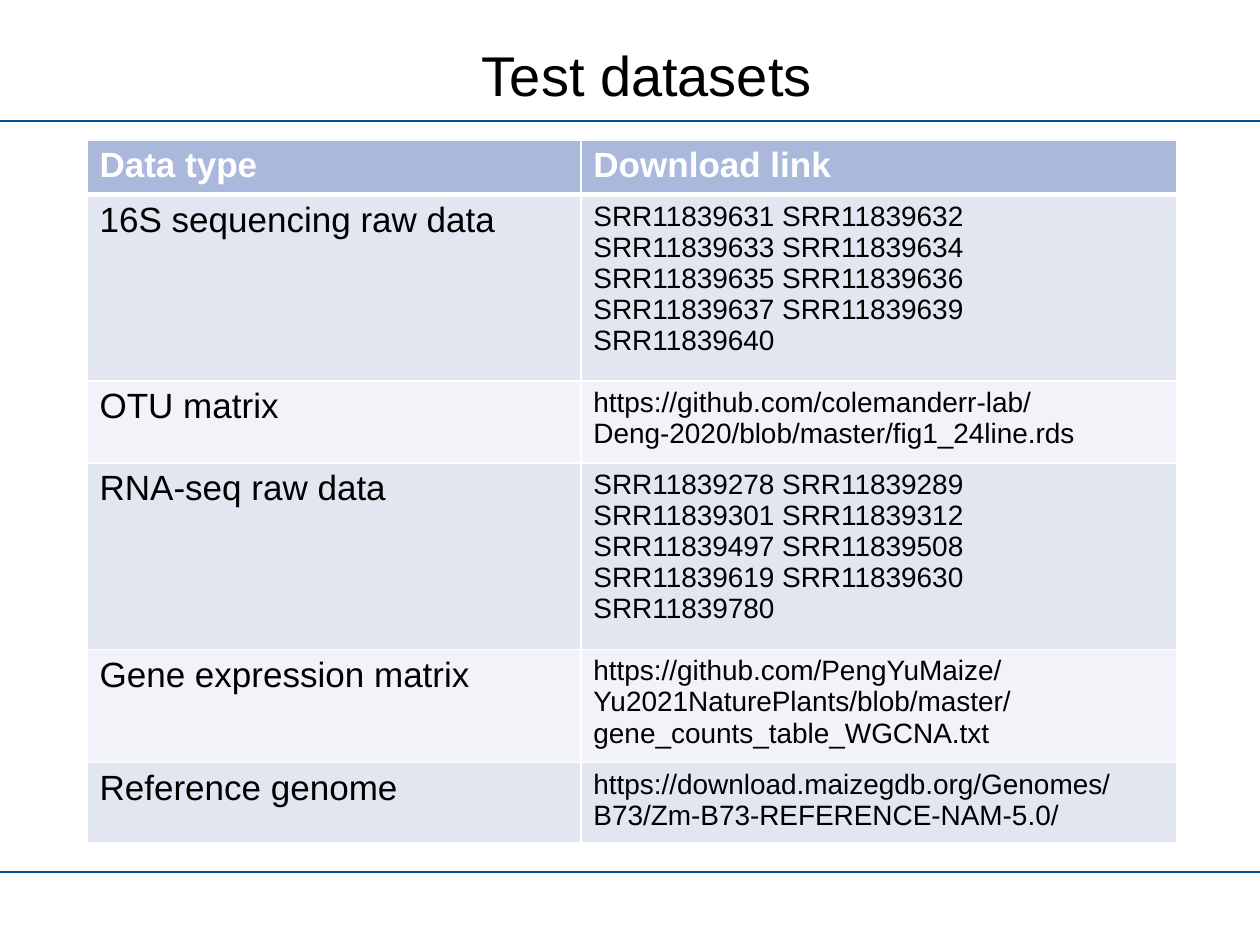
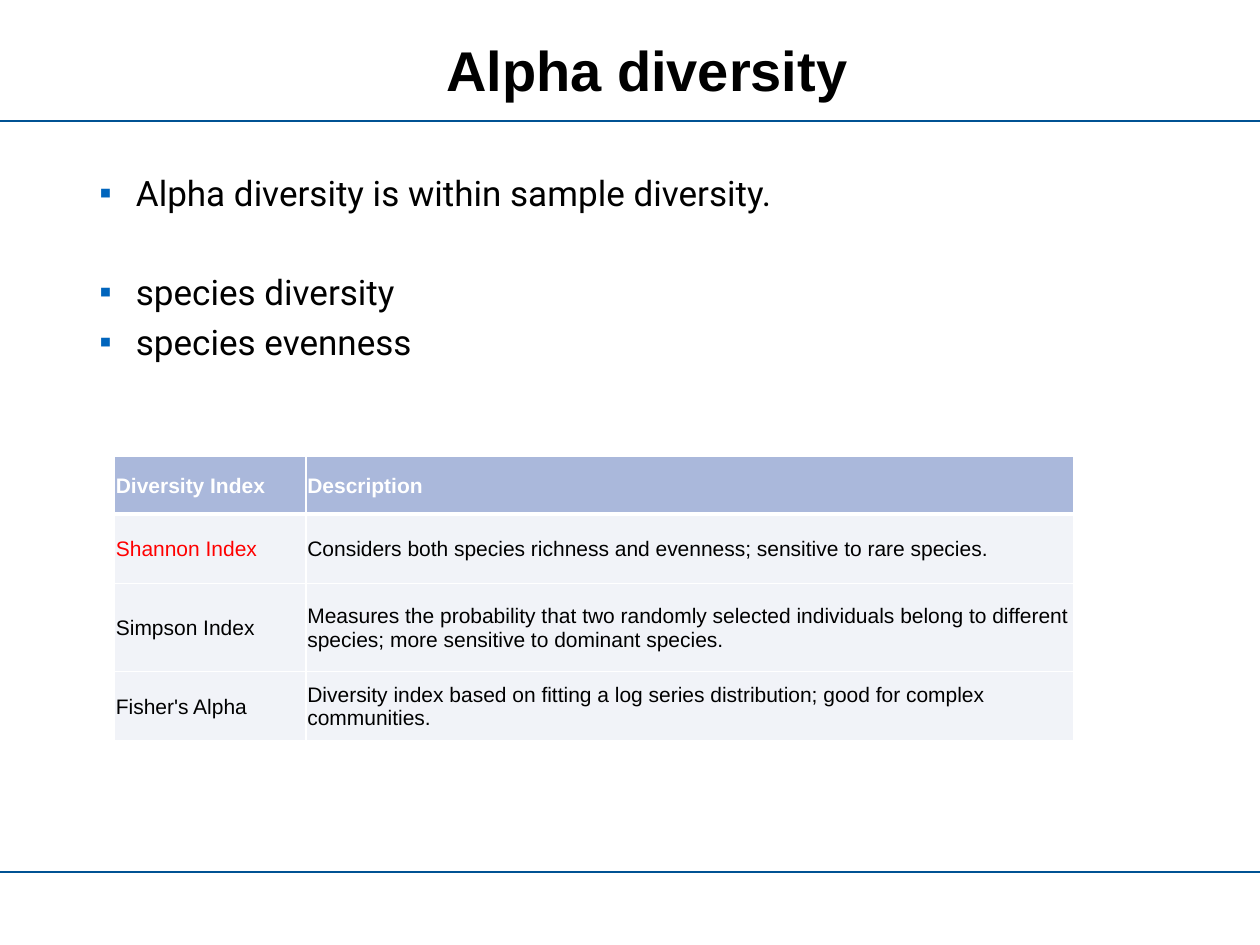
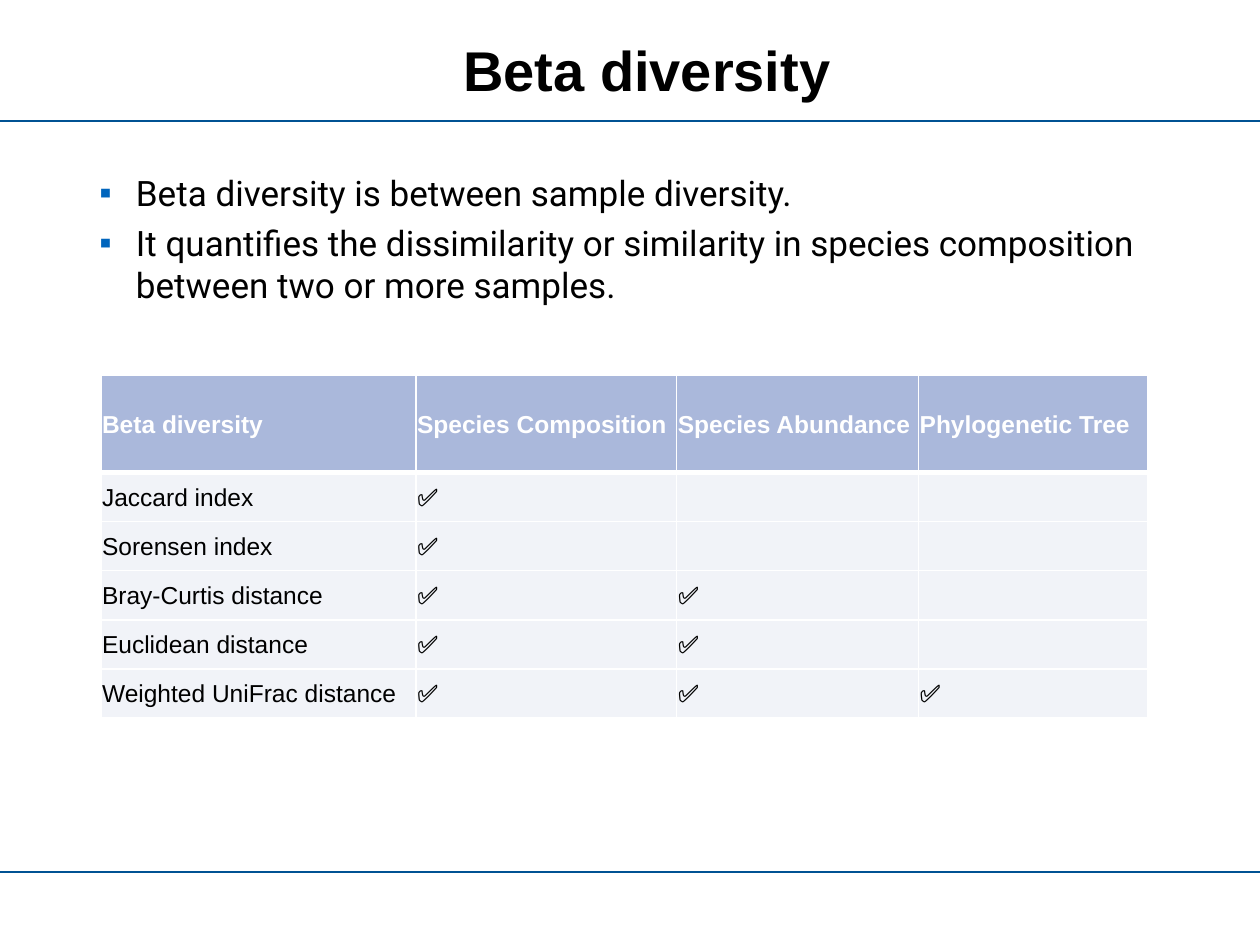
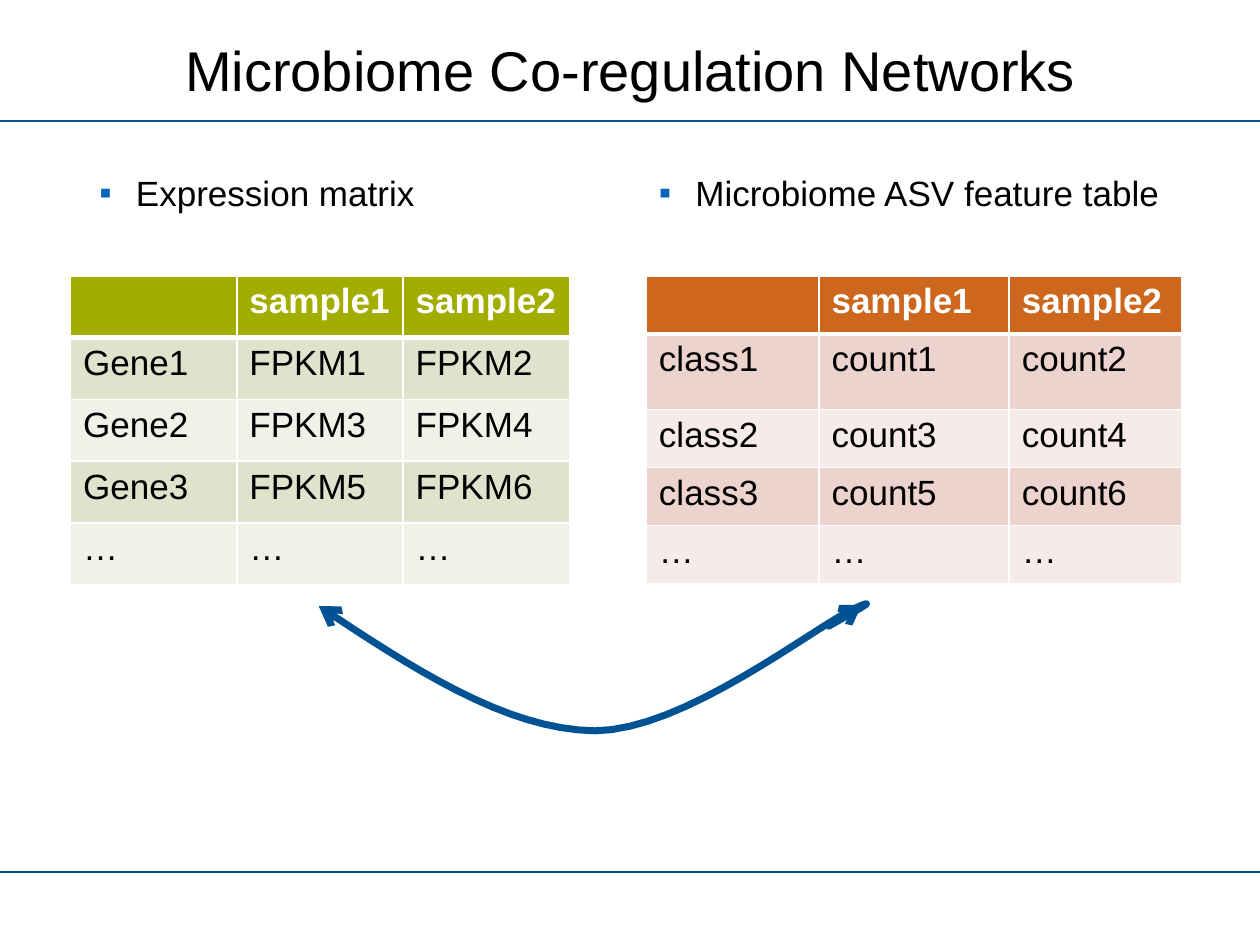
from dataclasses import dataclass

from lxml import etree
from pptx import Presentation
from pptx.dml.color import RGBColor
from pptx.enum.shapes import MSO_CONNECTOR
from pptx.enum.text import MSO_ANCHOR, PP_ALIGN
from pptx.oxml.ns import qn
from pptx.util import Inches, Pt

STRAIGHT = MSO_CONNECTOR.STRAIGHT
MIDDLE, TOP = MSO_ANCHOR.MIDDLE, MSO_ANCHOR.TOP
CENTER, LEFT = PP_ALIGN.CENTER, PP_ALIGN.LEFT

# Shared colours and fonts
BLACK = RGBColor(0x00, 0x00, 0x00)
WHITE = RGBColor(0xFF, 0xFF, 0xFF)
RED = RGBColor(0xFF, 0x00, 0x00)
NAVY = RGBColor(0x00, 0x52, 0x93)
BULLET_BLUE = RGBColor(0x00, 0x65, 0xBD)
HEADING_FONT, BODY_FONT = "Arial", "Roboto"

SLIDE_WIDTH, SLIDE_HEIGHT = 10, 7.5
BULLET_INDENT = 0.29
PARAGRAPH_GAP = 4.7
CHECK = "✅"


@dataclass
class Palette:
    header: RGBColor
    odd: RGBColor
    even: RGBColor


PALE_BLUE = RGBColor(0xF1, 0xF3, 0xF8)
BLUE_HEADER = RGBColor(0xAA, 0xB8, 0xDB)
BANDED_BLUE = Palette(BLUE_HEADER, RGBColor(0xE2, 0xE6, 0xF1), PALE_BLUE)
PLAIN_BLUE = Palette(BLUE_HEADER, PALE_BLUE, PALE_BLUE)
GREEN = Palette(RGBColor(0xA2, 0xAD, 0x00), RGBColor(0xE0, 0xE3, 0xCC),
                RGBColor(0xF0, 0xF1, 0xE7))
ORANGE = Palette(RGBColor(0xCE, 0x67, 0x1E), RGBColor(0xED, 0xD3, 0xCD),
                 RGBColor(0xF6, 0xEB, 0xE8))


def format_runs(paragraph, size, color, font=HEADING_FONT, bold=False):
    for run in paragraph.runs:
        run.font.name = font
        run.font.size = Pt(size)
        run.font.bold = bold
        run.font.color.rgb = color


def add_text_box(slide, left, top, width, height, anchor):
    box = slide.shapes.add_textbox(Inches(left), Inches(top), Inches(width), Inches(height))
    box.text_frame.word_wrap = True
    box.text_frame.vertical_anchor = anchor
    return box.text_frame


def add_rule(slide, y, weight):
    rule = slide.shapes.add_connector(STRAIGHT, 0, Inches(y), Inches(SLIDE_WIDTH), Inches(y))
    rule.line.color.rgb = NAVY
    rule.line.width = Pt(weight)
    etree.SubElement(rule._element.spPr, qn("a:effectLst"))


def add_titled_slide(presentation, title, left=0.69, top=0.22, bold=False):
    """Add a blank slide with the two rules and a centred title."""
    slide = presentation.slides.add_slide(presentation.slide_layouts[6])
    add_rule(slide, 6.92, 0.75)
    add_rule(slide, 0.96, 1)
    text_frame = add_text_box(slide, left, top, 8.89, 0.66, MIDDLE)
    text_frame.text = title
    paragraph = text_frame.paragraphs[0]
    paragraph.alignment = CENTER
    format_runs(paragraph, 32, BLACK, bold=bold)
    return slide


def set_bullet(paragraph):
    properties = paragraph._p.get_or_add_pPr()
    properties.set("marL", str(Inches(BULLET_INDENT)))
    properties.set("indent", str(-Inches(BULLET_INDENT)))
    color = etree.SubElement(properties, qn("a:buClr"))
    etree.SubElement(color, qn("a:srgbClr"), val=str(BULLET_BLUE))
    etree.SubElement(properties, qn("a:buFont"), typeface=HEADING_FONT)
    etree.SubElement(properties, qn("a:buChar"), char="▪")


def add_bullets(slide, left, width, height, items, font=BODY_FONT, gaps=None):
    """Add a bullet list; gaps maps an item index to its own space before."""
    text_frame = add_text_box(slide, left, 1.31, width, height, TOP)
    text_frame.text = "\n".join(items)
    for index, paragraph in enumerate(text_frame.paragraphs):
        set_bullet(paragraph)
        if index:
            paragraph.space_before = Pt((gaps or {}).get(index, PARAGRAPH_GAP))
        format_runs(paragraph, 20, BLACK, font)


def set_borders(cell, top_weight, bottom_weight):
    properties = cell._tc.get_or_add_tcPr()
    weights = (("a:lnL", 1), ("a:lnR", 1), ("a:lnT", top_weight), ("a:lnB", bottom_weight))
    for position, (tag, weight) in enumerate(weights):
        border = etree.Element(qn(tag), w=str(Pt(weight)))
        fill = etree.SubElement(border, qn("a:solidFill"))
        etree.SubElement(fill, qn("a:srgbClr"), val=str(WHITE))
        properties.insert(position, border)


def fill_cell(cell, text, row, size, palette, compact):
    is_header = row == 0
    if compact:
        cell.vertical_anchor = MIDDLE
        cell.margin_left = cell.margin_right = cell.margin_top = Inches(0.01)
        cell.margin_bottom = 0
    cell.fill.solid()
    cell.fill.fore_color.rgb = (
        palette.header if is_header else palette.odd if row % 2 else palette.even)
    set_borders(cell, 3 if row == 1 else 1, 3 if is_header else 1)
    cell.text_frame.text = text
    for paragraph in cell.text_frame.paragraphs:
        paragraph.alignment = LEFT
        format_runs(paragraph, size, WHITE if is_header else BLACK, bold=is_header)


def add_data_table(slide, left, top, widths, heights, rows, palette, sizes, compact=False):
    """Add a table; sizes holds the header size, then one body size per column."""
    frame = slide.shapes.add_table(len(rows), len(widths), Inches(left), Inches(top),
                                   Inches(sum(widths)), Inches(sum(heights)))
    table = frame.table
    table.horz_banding = False
    for column, width in zip(table.columns, widths):
        column.width = Inches(width)
    for row, height in zip(table.rows, heights):
        row.height = Inches(height)
    header_size, *body_sizes = sizes
    for row_index, texts in enumerate(rows):
        for column_index, text in enumerate(texts):
            size = body_sizes[column_index] if row_index else header_size
            fill_cell(table.cell(row_index, column_index), text, row_index,
                      size, palette, compact)
    return table


def bezier_points(start, curves, steps=16):
    """Return points along a chain of cubic curves."""
    points = [start]
    for first, second, end in curves:
        for step in range(1, steps + 1):
            t = step / steps
            u = 1 - t
            points.append(tuple(
                u ** 3 * a + 3 * u * u * t * b + 3 * u * t * t * c + t ** 3 * d
                for a, b, c, d in zip(start, first, second, end)))
        start = end
    return points


def add_curved_arrow(slide, start, curves):
    points = [(Inches(x), Inches(y)) for x, y in bezier_points(start, curves)]
    builder = slide.shapes.build_freeform(*points[0])
    builder.add_line_segments(points[1:], close=False)
    arrow = builder.convert_to_shape()
    arrow.shadow.inherit = False
    arrow.fill.background()
    arrow.line.color.rgb = NAVY
    arrow.line.width = Pt(4)
    line = arrow.line._get_or_add_ln()
    etree.SubElement(line, qn("a:round"))
    for tag in ("a:headEnd", "a:tailEnd"):
        etree.SubElement(line, qn(tag), type="arrow")


def add_datasets_slide(presentation):
    slide = add_titled_slide(presentation, "Test datasets", top=0.26)
    rows = [
        ("Data type", "Download link"),
        ("16S sequencing raw data",
         "SRR11839631 SRR11839632\nSRR11839633 SRR11839634\n"
         "SRR11839635 SRR11839636\nSRR11839637 SRR11839639\nSRR11839640"),
        ("OTU matrix",
         "https://github.com/colemanderr-lab/Deng-2020/blob/master/fig1_24line.rds"),
        ("RNA-seq raw data",
         "SRR11839278 SRR11839289\nSRR11839301 SRR11839312\n"
         "SRR11839497 SRR11839508\nSRR11839619 SRR11839630\nSRR11839780"),
        ("Gene expression matrix",
         "https://github.com/PengYuMaize/Yu2021NaturePlants/blob/master/"
         "gene_counts_table_WGCNA.txt"),
        ("Reference genome",
         "https://download.maizegdb.org/Genomes/B73/Zm-B73-REFERENCE-NAM-5.0/"),
    ]
    add_data_table(slide, 0.69, 1.11, [3.92, 4.73], [0.37, 1.48, 0.65, 1.48, 0.46, 0.46],
                   rows, BANDED_BLUE, [20, 20, 16])


def add_alpha_slide(presentation):
    slide = add_titled_slide(presentation, "Alpha diversity", bold=True)
    items = ["Alpha diversity is within sample diversity.",
             "species diversity", "species evenness"]
    add_bullets(slide, 0.69, 8.89, 1.71, items, gaps={1: 32.7})
    rows = [
        ("Diversity Index", "Description"),
        ("Shannon Index",
         "Considers both species richness and evenness; sensitive to rare species."),
        ("Simpson Index",
         "Measures the probability that two randomly selected individuals belong to "
         "different species; more sensitive to dominant species."),
        ("Fisher's Alpha",
         "Diversity index based on fitting a log series distribution; good for "
         "complex communities."),
    ]
    table = add_data_table(slide, 0.91, 3.62, [1.52, 6.09], [0.46, 0.55, 0.7, 0.55],
                           rows, PLAIN_BLUE, [12] * 3, compact=True)
    # The index used in the course stands out
    format_runs(table.cell(1, 0).text_frame.paragraphs[0], 12, RED)


def add_beta_slide(presentation):
    slide = add_titled_slide(presentation, "Beta diversity", bold=True)
    items = ["Beta diversity is between sample diversity.",
             "It quantifies the dissimilarity or similarity in species composition "
             "between two or more samples."]
    add_bullets(slide, 0.69, 8.89, 1.85, items)
    # Each measure with the number of properties it takes into account
    measures = [("Jaccard index", 1), ("Sorensen index", 1), ("Bray-Curtis distance", 2),
                ("Euclidean distance", 2), ("Weighted UniFrac distance", 3)]
    rows = [("Beta diversity", "Species Composition", "Species Abundance",
             "Phylogenetic Tree")]
    rows += [[name] + [CHECK] * count + [""] * (3 - count) for name, count in measures]
    add_data_table(slide, 0.8, 2.98, [2.5, 2.07, 1.92, 1.82], [0.77] + [0.39] * 5,
                   rows, PLAIN_BLUE, [14] * 5, compact=True)


def sample_rows(row_name, value_name):
    """Return the rows of a matrix with two samples and three features."""
    rows = [("", "sample1", "sample2")]
    rows += [(f"{row_name}{n}", f"{value_name}{2 * n - 1}", f"{value_name}{2 * n}")
             for n in range(1, 4)]
    return rows + [("…",) * 3]


def add_networks_slide(presentation):
    slide = add_titled_slide(presentation, "Microbiome Co-regulation Networks", left=0.56)
    add_bullets(slide, 0.69, 3.71, 4.89, ["Expression matrix"], HEADING_FONT)
    add_bullets(slide, 5.13, 4.42, 4.89, ["Microbiome ASV feature table"], HEADING_FONT)
    add_data_table(slide, 0.56, 2.19, [1.32] * 3, [0.49] * 5,
                   sample_rows("Gene", "FPKM"), GREEN, [20] * 4)
    add_data_table(slide, 5.13, 2.19, [1.37, 1.51, 1.37], [0.46, 0.6, 0.46, 0.46, 0.46],
                   sample_rows("class", "count"), ORANGE, [20] * 4)
    add_curved_arrow(slide, (2.53, 4.81), [
        ((3.27, 5.3), (4.01, 5.79), (4.72, 5.8)),
        ((5.43, 5.8), (6.47, 4.97), (6.78, 4.83)),
        ((7.09, 4.69), (6.57, 4.97), (6.58, 4.97)),
        ((6.59, 4.96), (6.72, 4.88), (6.84, 4.8)),
    ])


def main():
    presentation = Presentation()
    presentation.slide_width = Inches(SLIDE_WIDTH)
    presentation.slide_height = Inches(SLIDE_HEIGHT)
    add_datasets_slide(presentation)
    add_alpha_slide(presentation)
    add_beta_slide(presentation)
    add_networks_slide(presentation)
    presentation.save("out.pptx")


if __name__ == "__main__":
    main()
